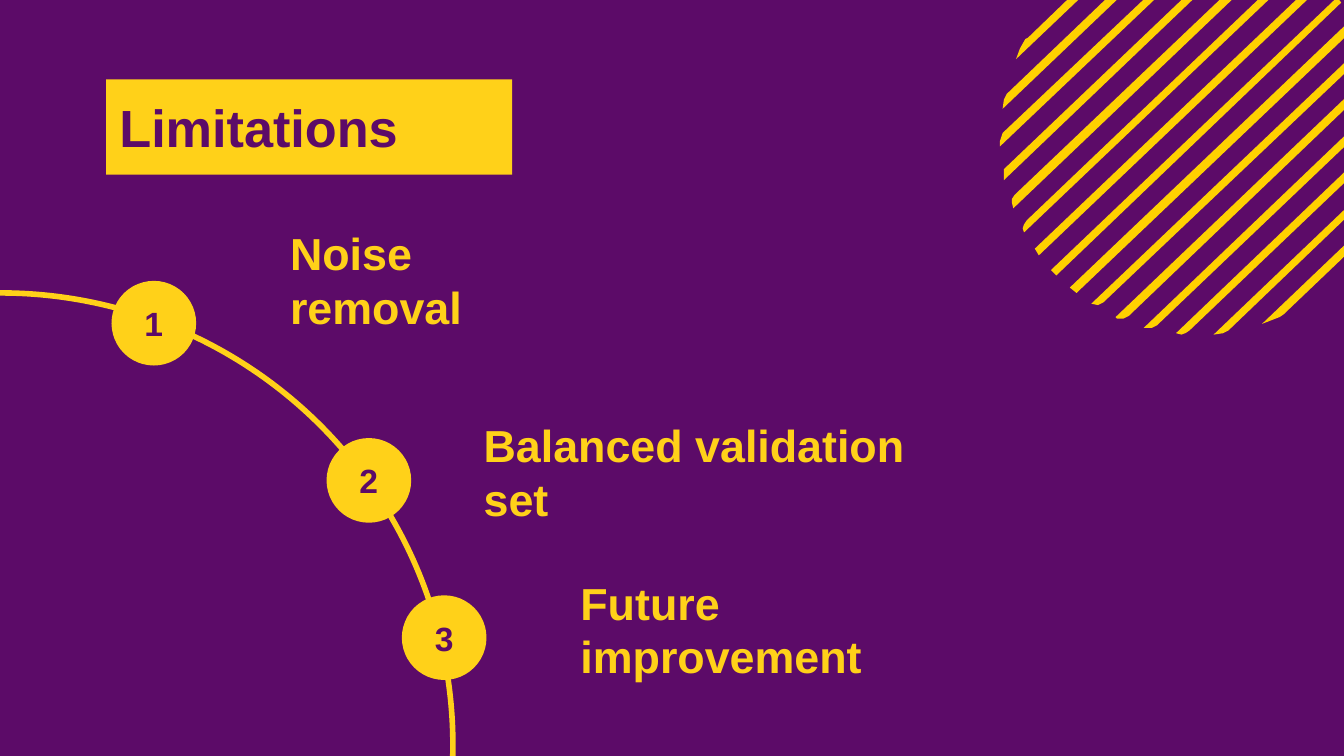
from dataclasses import dataclass

from pptx import Presentation
from pptx import util as u
from pptx.dml.color import RGBColor
from pptx.enum import shapes, text

PX = 9144  # 100 px to the inch
WIDE = 1000
PURPLE, YELLOW, GOLD = "5C0B68", "FFD119", "FFD100"
RECT, OVAL = shapes.MSO_SHAPE.RECTANGLE, shapes.MSO_SHAPE.OVAL
DISC = 63


@dataclass
class Box:
    x: int
    y: int
    w: int
    h: int

    def emu(self) -> list[int]:
        return [v * PX for v in (self.x, self.y, self.w, self.h)]


@dataclass
class Step:
    words: str
    label: Box
    x: int
    y: int


@dataclass
class Stripe:
    """Outline of one diagonal bar, cut off by the round edge."""
    pts: list[tuple[int, int]]


STEPS = [
    Step("Noise removal", Box(206, 158, 234, 51), 83, 209),
    Step("Balanced validation set", Box(350, 301, 365, 51), 243, 326),
    Step("Future improvement", Box(422, 418, 302, 51), 299, 443),
]

# From the upper left to the lower right
STRIPES = [
    Stripe([(756, 44), (839, -35), (824, -29), (822, -27), (765, 28),
            (763, 29), (759, 36)]),
    Stripe([(746, 81), (877, -44), (869, -43), (865, -41), (749, 70),
            (747, 74)]),
    Stripe([(744, 105), (744, 109), (905, -44), (901, -44), (898, -44),
            (895, -42), (746, 99), (745, 102)]),
    Stripe([(747, 129), (747, 134), (929, -40), (926, -40), (922, -40),
            (919, -38), (749, 124), (747, 126)]),
    Stripe([(753, 151), (754, 155), (950, -32), (948, -33), (944, -33),
            (940, -31), (755, 145), (753, 148)]),
    Stripe([(761, 170), (762, 173), (968, -23), (964, -24), (959, -22),
            (764, 164), (762, 167)]),
    Stripe([(770, 185), (773, 190), (984, -11), (980, -15)]),
    Stripe([(782, 201), (786, 205), (998, 2), (995, -2)]),
    Stripe([(796, 214), (801, 218), (1011, 18), (1007, 13)]),
    Stripe([(812, 226), (817, 227), (821, 225), (1017, 39), (1019, 36),
            (1019, 29)]),
    Stripe([(830, 236), (831, 237), (836, 237), (840, 235), (1026, 57),
            (1028, 54), (1028, 49), (1027, 48)]),
    Stripe([(851, 244), (853, 244), (857, 244), (861, 242), (1032, 79),
            (1034, 76), (1034, 69)]),
    Stripe([(875, 248), (879, 249), (882, 248), (885, 246), (1035, 103),
            (1037, 100), (1037, 93)]),
    Stripe([(903, 249), (910, 248), (914, 246), (1033, 132), (1035, 128),
            (1037, 121)]),
    Stripe([(939, 241), (952, 236), (955, 234), (1020, 172), (1021, 170),
            (1025, 164), (1027, 157)]),
]


def tint(code: str) -> RGBColor:
    return RGBColor.from_string(code)


def paint(shape, fill: str | None = None, line: str | None = None,
          width: int = 3) -> None:
    shape.shadow.inherit = False
    if fill:
        shape.fill.solid()
        shape.fill.fore_color.rgb = tint(fill)
    else:
        shape.fill.background()
    if line:
        shape.line.color.rgb = tint(line)
        shape.line.width = u.Pt(width)
    else:
        shape.line.fill.background()


def write(shape, words: str, *, size: int, color: str, inset: int = 10,
          align=text.PP_ALIGN.LEFT, anchor=text.MSO_ANCHOR.TOP) -> None:
    frame = shape.text_frame
    frame.word_wrap = True
    frame.vertical_anchor = anchor
    frame.margin_left = frame.margin_right = inset * PX
    frame.margin_top = frame.margin_bottom = inset * PX
    para = frame.paragraphs[0]
    para.alignment = align
    run = para.add_run()
    run.text = words
    font = run.font
    font.name, font.size, font.bold = "Arial", u.Pt(size), True
    font.color.rgb = tint(color)


def draw(slide, kind, box: Box, **look):
    shape = slide.shapes.add_shape(kind, *box.emu())
    paint(shape, **look)
    return shape


def streak(slide, stripe: Stripe) -> None:
    first, *rest = stripe.pts
    pen = slide.shapes.build_freeform(*first, scale=PX)
    pen.add_line_segments(rest, close=True)
    paint(pen.convert_to_shape(), fill=GOLD)


def main() -> None:
    deck = Presentation()
    deck.slide_width = WIDE * PX
    deck.slide_height = WIDE * PX * 9 // 16
    slide = deck.slides.add_slide(deck.slide_layouts[6])
    slide.background.fill.solid()
    slide.background.fill.fore_color.rgb = tint(PURPLE)

    for stripe in STRIPES:
        streak(slide, stripe)

    for step in STEPS:
        label = slide.shapes.add_textbox(*step.label.emu())
        write(label, step.words, size=24, color=YELLOW)

    draw(slide, OVAL, Box(-336, 218, 673, 673), line=YELLOW)
    for num, step in enumerate(STEPS, 1):
        disc = draw(slide, OVAL, Box(step.x, step.y, DISC, DISC), fill=YELLOW)
        write(disc, str(num), size=18, color=PURPLE, inset=0,
              align=text.PP_ALIGN.CENTER, anchor=text.MSO_ANCHOR.MIDDLE)

    title = draw(slide, RECT, Box(79, 59, 302, 71), fill=YELLOW)
    write(title, "Limitations", size=28, color=PURPLE,
          anchor=text.MSO_ANCHOR.MIDDLE)
    deck.save("out.pptx")


if __name__ == "__main__":
    main()
